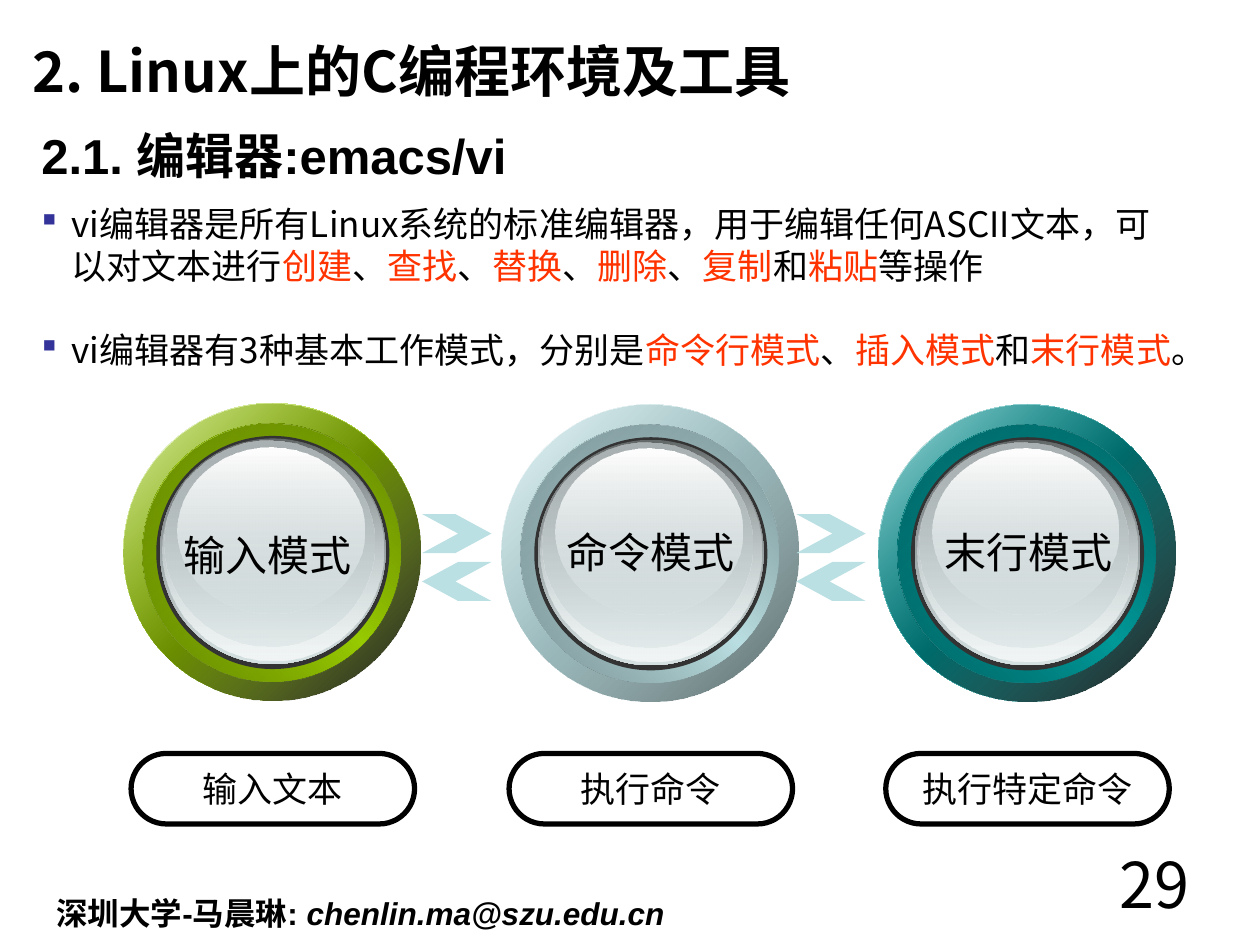
"""Build the slide on the vi editor and its three working modes."""
import pptx
import pptx.dml.color
import pptx.enum.shapes
import pptx.enum.text
import pptx.oxml.ns
import pptx.util
from lxml import etree

THEME = {
    "text": "000000", "accent": "FF3300", "bullet": "333399", "arrow": "BBE0E3", "rim": "333333",
    "sans": "Arial", "cjk": "Noto Sans CJK SC", "caption": "DejaVu Sans", "symbol": "Wingdings",
    "number": 36, "title": 32, "heading": 28, "mode": 24, "body": 20, "footer": 18,
}
TITLE = "2. Linux上的C编程环境及工具"
HEADING = "2.1. 编辑器:emacs/vi"
AUTHOR, EMAIL = "深圳大学-马晨琳: ", "chenlin.ma@szu.edu.cn"
NUMBER = "29"
BULLETS = [
    "vi编辑器是所有Linux系统的标准编辑器，用于编辑任何ASCII文本，可以对文本进行"
    "*创建*、*查找*、*替换*、*删除*、*复制*和*粘贴*等操作",
    "vi编辑器有3种基本工作模式，分别是*命令行模式*、*插入模式*和*末行模式*。",
]
MODES = [
    {"name": "输入模式", "caption": "输入文本", "font": THEME["sans"], "disc": (0.98, 3.2),
     "label": (1.22, 4.15), "color": "99CC00", "shade": ("000000", 90),
     "edge": "536E00", "ring": "618200"},
    {"name": "命令模式", "caption": "执行命令", "font": THEME["caption"], "disc": (3.98, 3.21),
     "label": (4.26, 4.13), "color": "BBE0E3", "shade": ("576869", 100),
     "edge": "65797B", "ring": "778E90"},
    {"name": "末行模式", "caption": "执行特定命令", "font": THEME["caption"], "disc": (6.97, 3.21),
     "label": (7.26, 4.13), "color": "009999", "shade": ("000000", 90),
     "edge": "005353", "ring": "006161"},
]
FACE = [
    ((0.29, 0.28, 1.79, 1.79), [(0, "636869", 100), (100, "D6E1E2", 100)]),
    ((0.31, 0.29, 1.75, 1.75), [(0, "D6E1E2", 0), (100, "F1F5F5", 100)]),
    ((0.33, 0.3, 1.66, 1.63), [(0, "AAB2B3", 100), (100, "D6E1E2", 48)]),
    ((0.43, 0.35, 1.48, 1.32), [(0, "FFFFFF", 100), (100, "D6E1E2", 38)]),
]
ARROW_LEFTS, ARROW_TOPS = (3.35, 6.32), (4.08, 4.46)
ARROW_SIZE = (0.55, 0.31)
ARROW = [(0, 0), (0.48, 0), (1, 0.5), (0.48, 1), (0, 1), (0.52, 0.5)]

ALIGN = pptx.enum.text.PP_ALIGN
ANCHOR = pptx.enum.text.MSO_ANCHOR
SHAPE = pptx.enum.shapes.MSO_SHAPE
inches = pptx.util.Inches
qn = pptx.oxml.ns.qn


def rgb(color):
    return pptx.dml.color.RGBColor.from_string(color)


def style(paragraph, size, font, bold=None):
    paragraph.font.size = pptx.util.Pt(size)
    paragraph.font.name = font
    paragraph.font.bold = bold
    paragraph.font.color.rgb = rgb(THEME["text"])


def add_text(slide, box, text, size, font, align=ALIGN.LEFT, bold=None, anchor=ANCHOR.TOP):
    frame = slide.shapes.add_textbox(*map(inches, box)).text_frame
    frame.word_wrap = True
    frame.vertical_anchor = anchor
    paragraph = frame.paragraphs[0]
    paragraph.add_run().text = text
    paragraph.alignment = align
    style(paragraph, size, font, bold)
    return paragraph


def set_indent(paragraph, left, first):
    properties = paragraph._p.get_or_add_pPr()
    properties.set("marL", str(inches(left)))
    properties.set("indent", str(inches(first)))
    return properties


def add_bullets(slide, box):
    frame = slide.shapes.add_textbox(*map(inches, box)).text_frame
    frame.word_wrap = True
    for index, text in enumerate(BULLETS):
        paragraph = frame.add_paragraph() if index else frame.paragraphs[0]
        properties = set_indent(paragraph, 0.24, -0.24)
        color = etree.SubElement(properties, qn("a:buClr"))
        etree.SubElement(color, qn("a:srgbClr"), val=THEME["bullet"])
        etree.SubElement(properties, qn("a:buFont"), typeface=THEME["symbol"], charset="2")
        etree.SubElement(properties, qn("a:buChar"), char="§")
        style(paragraph, THEME["body"], THEME["cjk"])
        if index:
            paragraph.space_before = pptx.util.Pt(24)
        for position, part in enumerate(text.split("*")):
            run = paragraph.add_run()
            run.text = part
            if position % 2:
                run.font.color.rgb = rgb(THEME["accent"])


def fill_gradient(shape, stops, angle):
    shape.fill.gradient()
    shape.fill.gradient_angle = (360 - angle) % 360
    stop_list = shape._element.spPr.find(qn("a:gradFill")).find(qn("a:gsLst"))
    for old in list(stop_list):
        stop_list.remove(old)
    for position, color, opacity in stops:
        stop = etree.SubElement(stop_list, qn("a:gs"), pos=str(position * 1000))
        value = etree.SubElement(stop, qn("a:srgbClr"), val=color)
        if opacity < 100:
            etree.SubElement(value, qn("a:alpha"), val=str(opacity * 1000))


def add_ellipse(shapes, origin, box, stops=None, angle=90):
    left, top, width, height = box
    shape = shapes.add_shape(SHAPE.OVAL, inches(origin[0] + left), inches(origin[1] + top),
                             inches(width), inches(height))
    shape.shadow.inherit = False
    shape.line.fill.background()
    if stops:
        fill_gradient(shape, stops, angle)
    else:
        shape.fill.solid()
        shape.fill.fore_color.rgb = rgb(THEME["rim"])


def add_disc(slide, mode):
    color, edge = mode["color"], mode["edge"]
    outer, ring, rim = (0, 0, 2.36, 2.36), (0.15, 0.16, 2.05, 2.05), (0.26, 0.26, 1.85, 1.85)
    layers = [
        (outer, [(0, "FFFFFF", 100), (50, color, 100), (100, "FFFFFF", 100)], 45),
        (outer, [(0, color, 32), (100, *mode["shade"])], 45),
        (ring, [(0, edge, 100), (50, color, 100), (100, edge, 100)], 315),
        (ring, [(0, mode["ring"], 100), (100, color, 0)], 45),
        (rim, None, 0),
    ]
    for box, stops, angle in layers:
        add_ellipse(slide.shapes, mode["disc"], box, stops, angle)
    group = slide.shapes.add_group_shape()
    for box, stops in FACE:
        add_ellipse(group.shapes, mode["disc"], box, stops)


def add_caption(slide, mode):
    pill = slide.shapes.add_shape(SHAPE.ROUNDED_RECTANGLE, inches(mode["disc"][0] + 0.06),
                                  inches(5.98), inches(2.25), inches(0.56))
    pill.adjustments[0] = 0.5
    pill.shadow.inherit = False
    pill.fill.background()
    pill.line.color.rgb = rgb(THEME["text"])
    pill.line.width = pptx.util.Pt(3)
    pill.text_frame.word_wrap = False
    pill.text_frame.vertical_anchor = ANCHOR.MIDDLE
    paragraph = pill.text_frame.paragraphs[0]
    paragraph.add_run().text = mode["caption"]
    paragraph.alignment = ALIGN.CENTER
    style(paragraph, THEME["body"], mode["font"])


def add_arrow(slide, left, top, backward):
    width, height = ARROW_SIZE
    points = [(inches(left + width * (1 - x if backward else x)), inches(top + height * y))
              for x, y in ARROW]
    builder = slide.shapes.build_freeform(*points[0])
    builder.add_line_segments(points[1:], close=True)
    shape = builder.convert_to_shape()
    shape.shadow.inherit = False
    shape.line.fill.background()
    shape.fill.solid()
    shape.fill.fore_color.rgb = rgb(THEME["arrow"])


def main():
    presentation = pptx.Presentation()
    presentation.slide_width, presentation.slide_height = inches(10), inches(7.5)
    slide = presentation.slides.add_slide(presentation.slide_layouts[6])
    add_text(slide, (8.07, 6.66, 1.47, 0.55), NUMBER, THEME["number"], THEME["cjk"], ALIGN.RIGHT)
    footer = add_text(slide, (0.35, 7.05, 5.4, 0.4), AUTHOR, THEME["footer"], THEME["sans"], bold=True)
    email = footer.add_run()
    email.text = EMAIL
    email.font.italic = True
    add_text(slide, (0.16, 0.11, 9.24, 0.89), TITLE, THEME["title"], THEME["cjk"],
             bold=True, anchor=ANCHOR.MIDDLE)
    heading = add_text(slide, (0.16, 1, 9.67, 0.56), HEADING, THEME["heading"], THEME["sans"], bold=True)
    set_indent(heading, 0.44, -0.37)
    heading.line_spacing = 0.9
    add_bullets(slide, (0.23, 1.56, 9.21, 1.77))
    for mode in MODES:
        add_disc(slide, mode)
        add_caption(slide, mode)
        add_text(slide, (*mode["label"], 1.81, 0.5), mode["name"], THEME["mode"], THEME["sans"], ALIGN.CENTER)
    for left in ARROW_LEFTS:
        for backward, top in enumerate(ARROW_TOPS):
            add_arrow(slide, left, top, backward)
    presentation.save("out.pptx")


if __name__ == "__main__":
    main()
